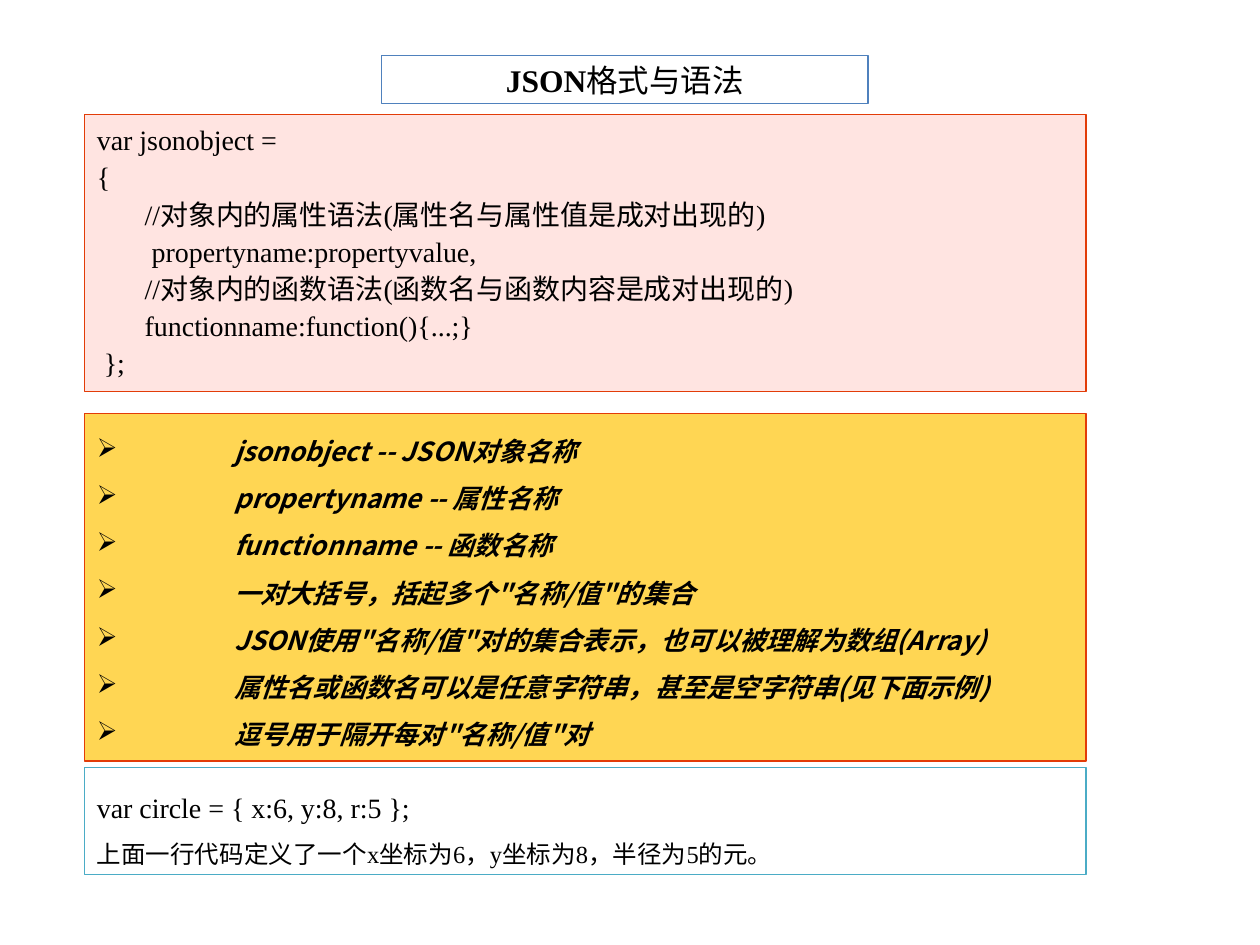
from lxml import etree
from pptx import Presentation
from pptx.dml.color import RGBColor
from pptx.enum.shapes import MSO_SHAPE
from pptx.enum.text import MSO_ANCHOR, PP_ALIGN
from pptx.oxml.ns import qn
from pptx.util import Inches, Pt

RECTANGLE = MSO_SHAPE.RECTANGLE
TOP, MIDDLE = MSO_ANCHOR.TOP, MSO_ANCHOR.MIDDLE
LEFT, CENTER = PP_ALIGN.LEFT, PP_ALIGN.CENTER

SERIF = "Times New Roman"
CJK = "Noto Sans CJK SC"
BLACK, WHITE = "000000", "FFFFFF"
ORANGE_RED = "E23C08"
PANEL_LEFT, PANEL_WIDTH = 0.67, 7.95

CODE_LINES = [
    "var jsonobject =",
    "{",
    "\t//对象内的属性语法(属性名与属性值是成对出现的)",
    "\t propertyname:propertyvalue,",
    "\t//对象内的函数语法(函数名与函数内容是成对出现的)",
    "\tfunctionname:function(){...;}",
    " };",
]
RULES = [
    "jsonobject -- JSON对象名称",
    "propertyname -- 属性名称",
    "functionname -- 函数名称",
    '一对大括号，括起多个"名称/值"的集合',
    'JSON使用"名称/值"对的集合表示，也可以被理解为数组(Array)',
    "属性名或函数名可以是任意字符串，甚至是空字符串(见下面示例)",
    '逗号用于隔开每对"名称/值"对',
]
EXAMPLE = [
    ("var circle = { x:6, y:8, r:5 };", 16),
    ("上面一行代码定义了一个x坐标为6，y坐标为8，半径为5的元。", 14),
]


def color(hex_value):
    return RGBColor.from_string(hex_value)


def add_panel(page, area, fill, line, anchor=MIDDLE):
    """Add an outlined rectangle and return its text frame."""
    box = page.shapes.add_shape(RECTANGLE, *(Inches(n) for n in area))
    box.shadow.inherit = False
    box.fill.solid()
    box.fill.fore_color.rgb = color(fill)
    box.line.color.rgb = color(line)
    box.line.width = Pt(0.75)
    frame = box.text_frame
    frame.word_wrap = True
    frame.vertical_anchor = anchor
    return frame


def add_lines(frame, lines):
    """Fill the frame with one left-aligned paragraph per line."""
    frame.text = "\n".join(lines)
    for para in frame.paragraphs:
        para.alignment = LEFT
    return frame.paragraphs


def style_span(span, size, font=SERIF, bold=False, italic=False):
    span.font.size = Pt(size)
    span.font.bold = bold
    span.font.italic = italic
    span.font.color.rgb = color(BLACK)
    span.font.name = font
    east_asian = etree.Element(qn("a:ea"), typeface=CJK)
    span.font._element.find(qn("a:latin")).addnext(east_asian)


def set_hanging_indent(para, inches):
    properties = para._p.get_or_add_pPr()
    properties.set("marL", str(Inches(inches)))
    properties.set("indent", str(-Inches(inches)))
    return properties


def add_bullet(para, indent):
    properties = set_hanging_indent(para, indent)
    bullet_color = etree.SubElement(properties, qn("a:buClr"))
    etree.SubElement(bullet_color, qn("a:srgbClr"), val=BLACK)
    etree.SubElement(properties, qn("a:buChar"), char="➢")


def add_title(page, area):
    para = add_panel(page, area, WHITE, "4F81BD").paragraphs[0]
    para.alignment = CENTER
    for text, font, bold in (("JSON", SERIF, True), ("格式与语法", CJK, False)):
        span = para.add_run()
        span.text = text
        style_span(span, 18, font, bold)


def add_code(page, area):
    frame = add_panel(page, area, "FFE4E1", ORANGE_RED)
    for index, para in enumerate(add_lines(frame, CODE_LINES)):
        set_hanging_indent(para, 0.38)
        para.line_spacing = 0.9
        para.space_before = Pt(4 if index else 0)
        style_span(para.runs[0], 16)


def add_rules(page, area):
    frame = add_panel(page, area, "FFD653", ORANGE_RED, TOP)
    for para in add_lines(frame, RULES):
        add_bullet(para, 1.09)
        para.line_spacing = 1.5
        style_span(para.runs[0], 15, CJK, bold=True, italic=True)


def add_example(page, area):
    frame = add_panel(page, area, WHITE, "4BACC6")
    paragraphs = add_lines(frame, [text for text, _ in EXAMPLE])
    for para, (_, size) in zip(paragraphs, EXAMPLE):
        para.line_spacing = 1.5
        style_span(para.runs[0], size)


def main():
    deck = Presentation()
    deck.slide_width, deck.slide_height = Inches(10), Inches(7.5)
    page = deck.slides.add_slide(deck.slide_layouts[6])

    add_title(page, (3.03, 0.44, 3.86, 0.38))
    # Stacked panels share their left edge and width
    for add_section, top, height in (
        (add_code, 0.91, 2.2),
        (add_rules, 3.28, 2.76),
        (add_example, 6.09, 0.85),
    ):
        add_section(page, (PANEL_LEFT, top, PANEL_WIDTH, height))

    deck.save("out.pptx")


if __name__ == "__main__":
    main()
